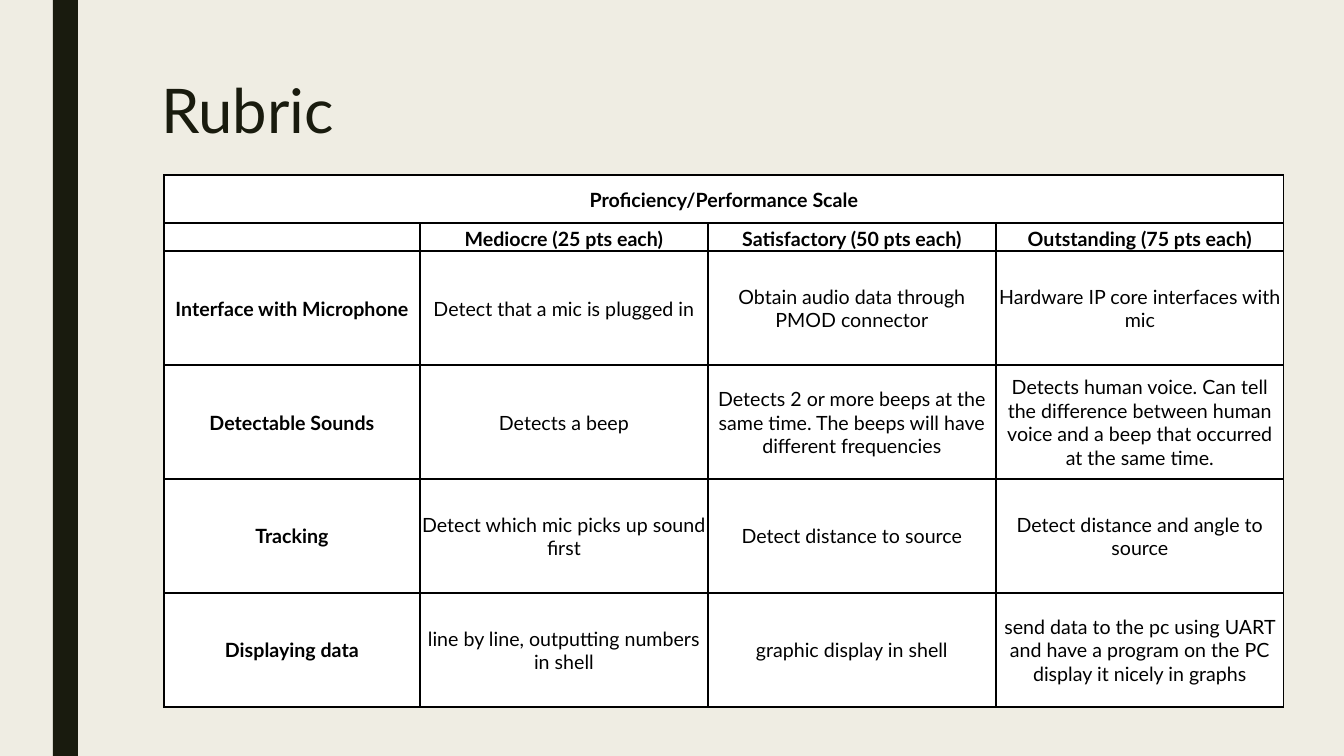
"""Build the Rubric slide with its proficiency scale table."""
from lxml import etree
from pptx import Presentation
from pptx.dml.color import RGBColor
from pptx.enum.shapes import MSO_SHAPE
from pptx.enum.text import MSO_ANCHOR, PP_ALIGN
from pptx.oxml.ns import qn
from pptx.util import Pt

PIXEL = 914400 * 10 // 1008
RECTANGLE = MSO_SHAPE.RECTANGLE
TOP, MIDDLE, BOTTOM = MSO_ANCHOR.TOP, MSO_ANCHOR.MIDDLE, MSO_ANCHOR.BOTTOM
LEFT, CENTER = PP_ALIGN.LEFT, PP_ALIGN.CENTER
CREAM = RGBColor(0xEF, 0xED, 0xE3)
DARK = RGBColor(0x19, 0x1B, 0x0E)
BLACK = RGBColor(0, 0, 0)
WHITE = RGBColor(255, 255, 255)
FONT = "Lato"
COLUMN_WIDTHS = [256, 288, 288, 288]
ROW_HEIGHTS = [48, 28, 114, 114, 114, 114]
RUBRIC = [
    ["Proficiency/Performance Scale", "", "", ""],
    ["", "Mediocre (25 pts each)", "Satisfactory (50 pts each)", "Outstanding (75 pts each)"],
    ["Interface with Microphone", "Detect that a mic is plugged in",
     "Obtain audio data through PMOD connector", "Hardware IP core interfaces with mic"],
    ["Detectable Sounds", "Detects a beep",
     "Detects 2 or more beeps at the same time. The beeps will have different frequencies",
     "Detects human voice. Can tell the difference between human voice and a beep "
     "that occurred at the same time."],
    ["Tracking", "Detect which mic picks up sound first",
     "Detect distance to source", "Detect distance and angle to source"],
    ["Displaying data", "line by line, outputting numbers in shell",
     "graphic display in shell",
     "send data to the pc using UART and have a program on the PC display it nicely in graphs"],
]


def format_paragraph(paragraph, size, color, alignment, bold=False):
    paragraph.alignment = alignment
    paragraph.font.name = FONT
    paragraph.font.size = Pt(size)
    paragraph.font.color.rgb = color
    paragraph.font.bold = bold


def add_borders(cell):
    properties = cell._tc.get_or_add_tcPr()
    for index, side in enumerate(("a:lnL", "a:lnR", "a:lnT", "a:lnB")):
        line = etree.Element(qn(side), w=str(Pt(1)))
        fill = etree.SubElement(line, qn("a:solidFill"))
        etree.SubElement(fill, qn("a:srgbClr"), val=str(BLACK))
        properties.insert(index, line)


presentation = Presentation()
presentation.slide_width = 1344 * PIXEL
presentation.slide_height = 756 * PIXEL
slide = presentation.slides.add_slide(presentation.slide_layouts[5])
slide.background.fill.solid()
slide.background.fill.fore_color.rgb = CREAM

side_bar = slide.shapes.add_shape(RECTANGLE, 53 * PIXEL, 0, 25 * PIXEL, 756 * PIXEL)
side_bar.shadow.inherit = False
side_bar.fill.solid()
side_bar.fill.fore_color.rgb = DARK
side_bar.line.fill.background()

title = slide.shapes.title
title.left, title.top = 151 * PIXEL, 76 * PIXEL
title.width, title.height = 1058 * PIXEL, 163 * PIXEL
title.text_frame.text = "Rubric"
title.text_frame.vertical_anchor = TOP
title_paragraph = title.text_frame.paragraphs[0]
title_paragraph.line_spacing = 0.89
format_paragraph(title_paragraph, 44, DARK, LEFT)

table = slide.shapes.add_table(
    len(ROW_HEIGHTS), len(COLUMN_WIDTHS), 164 * PIXEL, 175 * PIXEL,
    sum(COLUMN_WIDTHS) * PIXEL, sum(ROW_HEIGHTS) * PIXEL).table
table.first_row = False
table.horz_banding = False
for column, width in zip(table.columns, COLUMN_WIDTHS):
    column.width = width * PIXEL
for row, height in zip(table.rows, ROW_HEIGHTS):
    row.height = height * PIXEL
table.cell(0, 0).merge(table.cell(0, 3))

for row_index, texts in enumerate(RUBRIC):
    for column_index, text in enumerate(texts):
        cell = table.cell(row_index, column_index)
        cell.text = text
        cell.fill.solid()
        cell.fill.fore_color.rgb = WHITE
        cell.margin_left = cell.margin_right = cell.margin_top = PIXEL
        cell.margin_bottom = 0
        cell.vertical_anchor = BOTTOM if row_index == 1 else MIDDLE
        is_heading = row_index < 2 or column_index == 0
        format_paragraph(cell.text_frame.paragraphs[0], 14, BLACK, CENTER, is_heading)
        add_borders(cell)

presentation.save("out.pptx")
